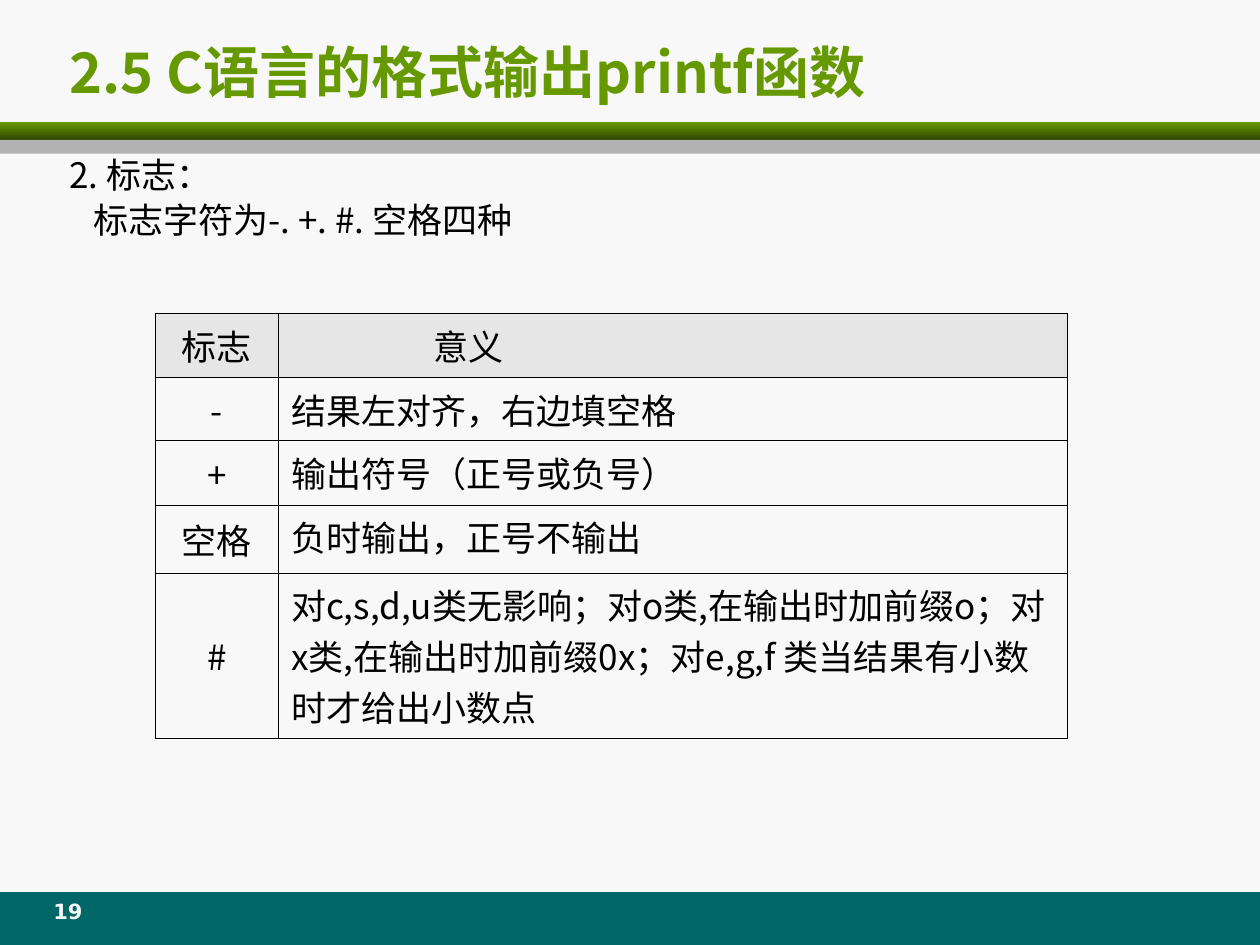
from dataclasses import dataclass

from lxml import etree
from pptx import Presentation
from pptx import util as u
from pptx.dml.color import RGBColor
from pptx.enum import shapes, text
from pptx.oxml.ns import qn

SANS, TITLE_SANS, NUMBER_SANS = "Noto Sans CJK SC", "Noto Sans CJK JP", "DejaVu Sans"
GREEN, DARK_GREEN, TEAL = "669900", "2F4600", "006666"
GREY, PALE_GREY, PAPER, BLACK = "B2B2B2", "E6E6E6", "F8F8F8", "000000"
WIDTH, HEIGHT = u.Inches(10), u.Inches(7.5)


@dataclass
class Area:
    """Left, top, width and height in percent of the slide's size."""
    left: float
    top: float
    width: float
    height: float

    def lengths(self) -> tuple:
        return (across(self.left), down(self.top),
                across(self.width), down(self.height))


@dataclass
class Band:
    area: Area
    colors: tuple


@dataclass
class Style:
    font: str
    size: float
    color: str = BLACK
    bold: bool = False


@dataclass
class Flag:
    symbol: str
    meaning: str
    height: float


BANDS = [
    Band(Area(0, 94.4, 100, 5.6), (TEAL,)),
    Band(Area(0, 12.93, 100, 1.87), (GREEN, DARK_GREEN)),
    Band(Area(0, 14.8, 100, 1.47), (GREY,)),
]
FLAGS = [
    Flag("标志", "意义", 5.87),
    Flag("-", "结果左对齐，右边填空格", 5.87),
    Flag("+", "输出符号（正号或负号）", 6.8),
    Flag("空格", "负时输出，正号不输出", 7.2),
    Flag("#", "对c,s,d,u类无影响；对o类,在输出时加前缀o；"
         "对x类,在输出时加前缀0x；对e,g,f 类当结果有小数时才给出小数点", 14.67),
]
COLUMNS = (9.8, 62.6)
BODY = Style(SANS, 20)


def across(percent: float) -> int:
    return int(WIDTH * percent / 100)


def down(percent: float) -> int:
    return int(HEIGHT * percent / 100)


def rgb(value: str) -> RGBColor:
    return RGBColor.from_string(value)


def write(para, words: str, style: Style, align=text.PP_ALIGN.LEFT,
          indent: float = 0) -> None:
    para.alignment = align
    properties = para._p.get_or_add_pPr()
    properties.set("marL", str(across(indent)))
    properties.set("indent", "0")
    etree.SubElement(properties, qn("a:buNone"))
    span = para.add_run()
    span.text = words
    span.font.name = style.font
    span.font.size = u.Pt(style.size)
    span.font.bold = style.bold
    span.font.color.rgb = rgb(style.color)
    east_asian = etree.SubElement(span._r.get_or_add_rPr(), qn("a:ea"))
    east_asian.set("typeface", style.font)


def place(box, area: Area, anchor=text.MSO_ANCHOR.TOP):
    """Position a text shape and return its frame, wrapped and unscaled."""
    box.left, box.top, box.width, box.height = area.lengths()
    frame = box.text_frame
    frame.word_wrap = True
    frame.auto_size = text.MSO_AUTO_SIZE.NONE
    frame.vertical_anchor = anchor
    return frame


def draw_band(page, band: Band) -> None:
    bar = page.shapes.add_shape(shapes.MSO_SHAPE.RECTANGLE, *band.area.lengths())
    bar.shadow.inherit = False
    bar.line.fill.background()
    if len(band.colors) == 1:
        bar.fill.solid()
        bar.fill.fore_color.rgb = rgb(band.colors[0])
        return
    bar.fill.gradient()
    bar.fill.gradient_angle = 270
    for stop, color in zip(bar.fill.gradient_stops, band.colors):
        stop.color.rgb = rgb(color)


def add_borders(cell) -> None:
    properties = cell._tc.get_or_add_tcPr()
    for side in ("lnL", "lnR", "lnT", "lnB"):
        line = etree.SubElement(properties, qn(f"a:{side}"), w=str(u.Pt(0.45)))
        fill = etree.SubElement(line, qn("a:solidFill"))
        etree.SubElement(fill, qn("a:srgbClr"), val=BLACK)


def draw_flags(page) -> None:
    area = Area(12.3, 33.2, sum(COLUMNS), sum(flag.height for flag in FLAGS))
    table = page.shapes.add_table(len(FLAGS), len(COLUMNS), *area.lengths()).table
    table.first_row = table.horz_banding = False
    for column, width in zip(table.columns, COLUMNS):
        column.width = across(width)
    for index, (row, flag) in enumerate(zip(table.rows, FLAGS)):
        row.height = down(flag.height)
        heading = index == 0
        for cell in row.cells:
            add_borders(cell)
            cell.margin_left = cell.margin_right = u.Inches(0.1)
            cell.margin_top = cell.margin_bottom = u.Inches(0.05)
            if heading:
                cell.fill.solid()
                cell.fill.fore_color.rgb = rgb(PALE_GREY)
            else:
                cell.fill.background()
        symbol, meaning = row.cells
        symbol.vertical_anchor = text.MSO_ANCHOR.MIDDLE
        write(symbol.text_frame.paragraphs[0], flag.symbol, BODY, text.PP_ALIGN.CENTER)
        write(meaning.text_frame.paragraphs[0], flag.meaning, BODY,
              indent=11.3 if heading else 0)


def main() -> None:
    deck = Presentation()
    deck.slide_width, deck.slide_height = WIDTH, HEIGHT
    page = deck.slides.add_slide(deck.slide_layouts[1])
    page.background.fill.solid()
    page.background.fill.fore_color.rgb = rgb(PAPER)
    for band in BANDS:
        draw_band(page, band)

    title = place(page.shapes.title, Area(4.5, 3.07, 95.5, 8.93),
                  text.MSO_ANCHOR.MIDDLE)
    write(title.paragraphs[0], "2.5 C语言的格式输出printf函数",
          Style(TITLE_SANS, 32, GREEN, True))

    body = place(page.placeholders[1], Area(4.5, 16.27, 92.7, 11.73))
    first, second = body.paragraphs[0], body.add_paragraph()
    first.space_before, second.space_before = u.Pt(0), u.Pt(5)
    first.line_spacing = second.line_spacing = 0.86
    write(first, "2. 标志：", BODY)
    write(second, "标志字符为-. +. #. 空格四种", BODY, indent=1.9)

    draw_flags(page)

    number_area = Area(2.5, 94.4, 5.8, 4.4)
    number = place(page.shapes.add_textbox(*number_area.lengths()), number_area)
    write(number.paragraphs[0], "19", Style(NUMBER_SANS, 12, PAPER, True),
          text.PP_ALIGN.CENTER)
    deck.save("out.pptx")


if __name__ == "__main__":
    main()
